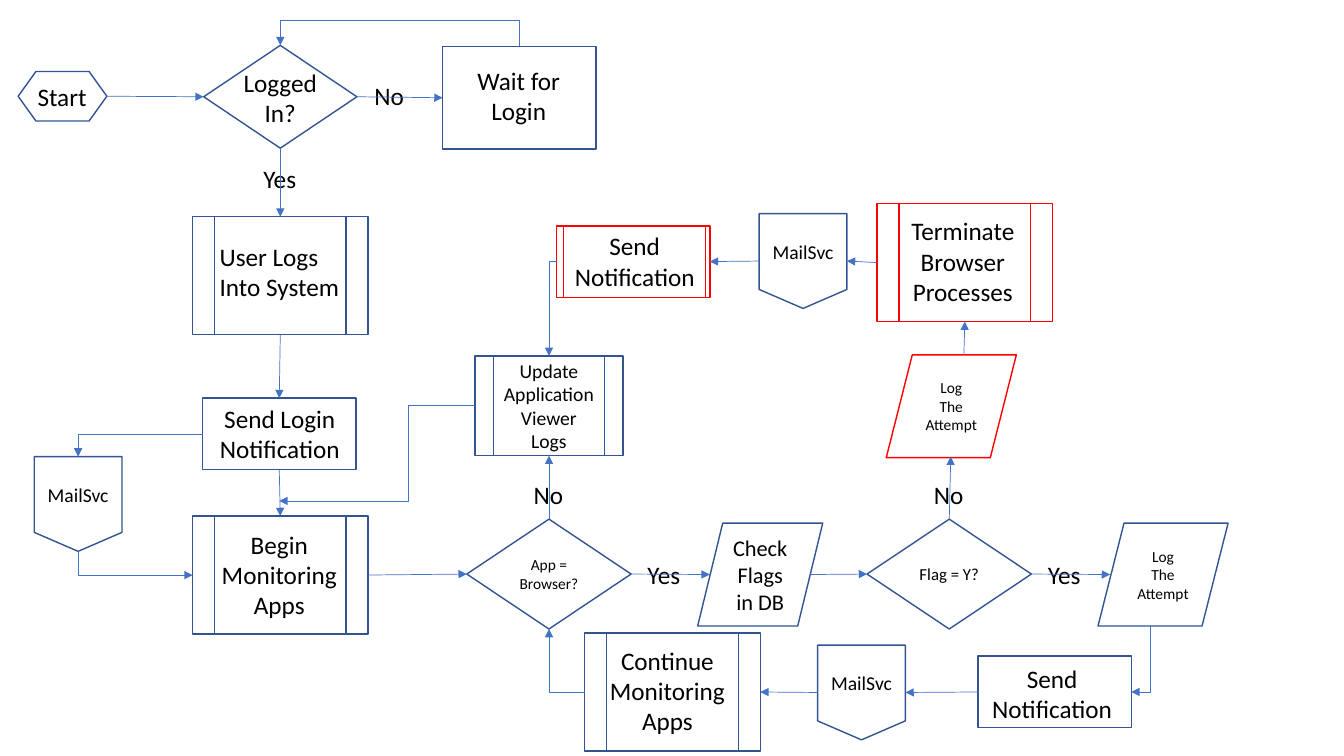
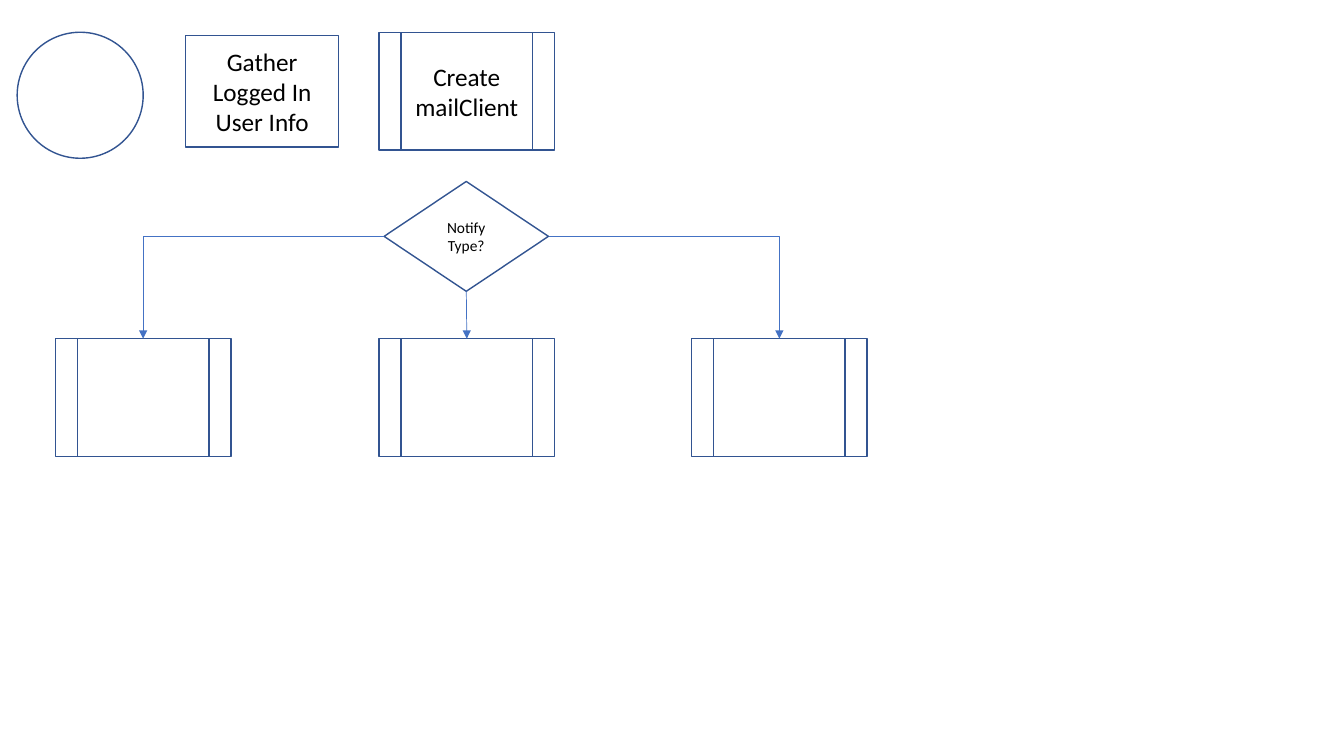
from dataclasses import dataclass
from typing import Any

from pptx import Presentation
from pptx.dml.color import RGBColor
from pptx.enum.shapes import MSO_CONNECTOR, MSO_SHAPE
from pptx.enum.text import MSO_ANCHOR, PP_ALIGN
from pptx.oxml.ns import qn
from pptx.oxml.xmlchemy import OxmlElement
from pptx.util import Inches, Pt

TOP, LEFT, BOTTOM, RIGHT = range(4)
GOING_RIGHT, GOING_DOWN, GOING_LEFT, GOING_UP = 0, 90, 180, 270


@dataclass(frozen=True)
class Theme:
    font: str = "Calibri"
    ink: str = "000000"
    outline: str = "325491"
    alert: str = "FF0000"
    arrow: str = "4472C4"
    outline_width: float = 1
    caption_outline_width: float = 0.75
    arrow_width: float = 0.5
    caption: int = 18
    data: int = 16
    body: int = 14
    flag: int = 12
    small: int = 11


THEME = Theme()
KINDS = {
    "start": (MSO_SHAPE.FLOWCHART_PREPARATION, 0.88, 0.49),
    "question": (MSO_SHAPE.FLOWCHART_DECISION, 1.52, 1.02),
    "decision": (MSO_SHAPE.FLOWCHART_DECISION, 1.63, 1.09),
    "wait": (MSO_SHAPE.FLOWCHART_PROCESS, 1.52, 1.02),
    "step": (MSO_SHAPE.FLOWCHART_PROCESS, 1.52, 0.71),
    "gather": (MSO_SHAPE.FLOWCHART_PROCESS, 1.52, 1.11),
    "process": (MSO_SHAPE.FLOWCHART_PREDEFINED_PROCESS, 1.74, 1.17),
    "update": (MSO_SHAPE.FLOWCHART_PREDEFINED_PROCESS, 1.47, 0.99),
    "check": (MSO_SHAPE.FLOWCHART_DATA, 1.24, 1.02),
    "log": (MSO_SHAPE.FLOWCHART_DATA, 1.29, 1.02),
    "mail": (MSO_SHAPE.FLOWCHART_OFFPAGE_CONNECTOR, 0.87, 0.94),
    "circle": (MSO_SHAPE.FLOWCHART_CONNECTOR, 1.25, 1.25),
}


def apply(target, formats):
    for name, value in formats.items():
        setattr(target, name, value)


def set_line(line, color, width):
    line.color.rgb = RGBColor.from_string(color)
    line.width = Pt(width)


def write(frame, text, size, align=PP_ALIGN.CENTER):
    for index, words in enumerate(text.split("\n")):
        para = frame.paragraphs[0] if index == 0 else frame.add_paragraph()
        para.alignment = align
        span = para.add_run()
        span.text = words
        apply(span.font, {"name": THEME.font, "size": Pt(size)})
        span.font.color.rgb = RGBColor.from_string(THEME.ink)


@dataclass
class Region:
    page: Any
    left: float
    top: float

    def place(self, x, y):
        return Inches(self.left + x), Inches(self.top + y)

    def node(self, kind, x, y, text="", size=THEME.caption, color=THEME.outline):
        preset, width, height = KINDS[kind]
        shape = self.page.shapes.add_shape(
            preset, *self.place(x, y), Inches(width), Inches(height))
        shape.shadow.inherit = False
        shape.fill.background()
        set_line(shape.line, color, THEME.outline_width)
        if text:
            apply(shape.text_frame, {"word_wrap": True, "vertical_anchor": MSO_ANCHOR.MIDDLE})
            write(shape.text_frame, text, size)
        return shape

    def caption(self, text, x, y, width, height=0.71, align=PP_ALIGN.CENTER, outline=None):
        box = self.page.shapes.add_textbox(*self.place(x, y), Inches(width), Inches(height))
        box.text_frame.word_wrap = " " in text and "\n" not in text
        write(box.text_frame, text, THEME.caption, align)
        if outline:
            set_line(box.line, outline, THEME.caption_outline_width)

    def answer(self, text, x, y):
        self.caption(text, x, y, 0.53 if text == "Yes" else 0.5, 0.4)

    def locate(self, end):
        first, second = end
        if isinstance(first, (int, float)):
            return self.place(first, second)
        across, down = ((0.5, 0), (0, 0.5), (0.5, 1), (1, 0.5))[second]
        return (int(first.left + first.width * across),
                int(first.top + first.height * down))

    def arrow(self, start, finish, kind=MSO_CONNECTOR.STRAIGHT):
        link = self.page.shapes.add_connector(kind, *self.locate(start), *self.locate(finish))
        for join, end in ((link.begin_connect, start), (link.end_connect, finish)):
            if not isinstance(end[0], (int, float)):
                join(*end)
        set_line(link.line, THEME.arrow, THEME.arrow_width)
        head = OxmlElement("a:tailEnd")
        head.set("type", "triangle")
        link.line._get_or_add_ln().append(head)
        link._element.spPr.append(OxmlElement("a:effectLst"))
        return link

    def elbow(self, start, finish, heading, bend=None):
        link = self.arrow(start, finish, MSO_CONNECTOR.ELBOW)
        (x1, y1), (x2, y2) = self.locate(start), self.locate(finish)
        dx, dy = x2 - x1, y2 - y1
        sideways = {GOING_RIGHT: dy, GOING_DOWN: -dx, GOING_LEFT: -dy, GOING_UP: dx}[heading]
        width, height = abs(dx), abs(dy)
        if heading in (GOING_DOWN, GOING_UP):
            width, height = height, width
        apply(link, {"left": (x1 + x2 - width) // 2, "top": (y1 + y2 - height) // 2,
                     "width": width, "height": height})
        apply(link._element.spPr.find(qn("a:xfrm")),
              {"rot": heading, "flipH": False, "flipV": sideways < 0})
        geometry = link._element.spPr.find(qn("a:prstGeom"))
        geometry.set("prst", "bentConnector2" if bend is None else "bentConnector3")
        if bend is not None:
            guide = OxmlElement("a:gd")
            guide.set("name", "adj1")
            guide.set("fmla", f"val {round(bend * 100000)}")
            geometry.get_or_add_avLst().append(guide)


def login_region(region):
    start = region.node("start", 0.18, 0.71)
    logged = region.node("question", 2.02, 0.45)
    wait = region.node("wait", 4.39, 0.46)
    user = region.node("process", 1.91, 2.15)
    notify = region.node("step", 2.01, 3.95)
    begin = region.node("process", 1.91, 5.12)
    mail = region.node("mail", 0.34, 4.53, "MailSvc", THEME.body)
    region.caption("Start", 0.27, 0.76, 0.69, 0.4)
    region.caption("Logged\nIn?", 2.31, 0.62, 0.94)
    region.caption("Wait for\nLogin", 4.63, 0.6, 1.03)
    region.caption("User Logs\nInto System", 2.08, 2.34, 1.4, align=PP_ALIGN.LEFT)
    region.caption("Send Login\nNotification", 2.07, 3.95, 1.41)
    region.caption("Begin Monitoring Apps", 2.07, 5.2, 1.4, 1.01)
    region.answer("No", 3.61, 0.75)
    region.answer("Yes", 2.51, 1.57)
    region.arrow((start, RIGHT), (logged, LEFT))
    region.arrow((logged, RIGHT), (wait, LEFT))
    for upper, lower in ((logged, user), (user, notify), (notify, begin)):
        region.arrow((upper, BOTTOM), (lower, TOP))
    region.elbow((wait, TOP), (logged, TOP), GOING_UP, 26)
    region.elbow((notify, LEFT), (mail, TOP), GOING_LEFT)
    region.elbow((mail, BOTTOM), (begin, LEFT), GOING_DOWN)
    return begin


def monitoring_region(region, begin):
    browser = region.node("decision", 0, 1.62, "App = Browser?", THEME.small)
    update = region.node("update", 0.08, 0, "Update Application Viewer Logs", THEME.body)
    region.node("check", 2.29, 1.66, "Check Flags in DB", THEME.data)
    flag = region.node("decision", 3.97, 1.62, "Flag = Y?", THEME.flag)
    region.node("log", 6.26, 1.66, "Log\nThe Attempt", THEME.small)
    for question_left in (0, 3.97):
        region.answer("No", question_left + 0.56, 1.18)
        region.answer("Yes", question_left + 1.69, 1.97)
    region.arrow((begin, RIGHT), (browser, LEFT))
    region.arrow((browser, TOP), (update, BOTTOM))
    region.arrow((browser, RIGHT), (2.41, 2.17))
    region.arrow((3.4, 2.17), (flag, LEFT))
    region.arrow((flag, RIGHT), (6.38, 2.17))
    region.elbow((update, LEFT), (-1.86, 1.44), GOING_LEFT, 0.34)
    return browser, update, flag


def blocking_region(region, flag, update):
    region.node("log", 3.27, 1.5, "Log\nThe Attempt", THEME.small, THEME.alert)
    terminate = region.node("process", 3.18, 0, color=THEME.alert)
    mail = region.node("mail", 2.01, 0.1, "MailSvc", THEME.body)
    notify = region.node("step", 0, 0.22, color=THEME.alert)
    region.caption("Send\nNotification", 0.07, 0.22, 1.41, outline=THEME.alert)
    region.caption("Terminate Browser Processes", 3.33, 0.07, 1.4, 1.01)
    region.arrow((flag, TOP), (3.91, 2.51))
    region.arrow((4.04, 1.5), (terminate, BOTTOM))
    region.arrow((terminate, LEFT), (mail, RIGHT))
    region.arrow((mail, LEFT), (notify, RIGHT))
    region.elbow((notify, LEFT), (update, TOP), GOING_LEFT)


def notice_region(region, browser):
    proceed = region.node("process", 0, 0)
    mail = region.node("mail", 2.31, 0.12, "MailSvc", THEME.body)
    notify = region.node("step", 3.9, 0.23)
    region.caption("Continue Monitoring Apps", 0.12, 0.07, 1.4, 1.01)
    region.caption("Send\nNotification", 3.93, 0.25, 1.41)
    region.elbow((5.61, -0.07), (notify, RIGHT), GOING_DOWN)
    region.arrow((notify, LEFT), (mail, RIGHT))
    region.arrow((mail, LEFT), (proceed, RIGHT))
    region.elbow((proceed, LEFT), (browser, BOTTOM), GOING_LEFT)


def monitoring_page(page):
    begin = login_region(Region(page, 0, 0))
    browser, update, flag = monitoring_region(Region(page, 4.63, 3.53), begin)
    blocking_region(Region(page, 5.52, 2.02), flag, update)
    notice_region(Region(page, 5.8, 6.28), browser)


def mail_region(region):
    region.node("circle", 0, 0)
    region.node("gather", 1.67, 0.03, "Gather Logged In User Info")
    region.node("process", 3.59, 0, "Create mailClient")


def notify_region(region):
    choice = region.node("decision", 3.26, 0, "Notify Type?", THEME.small)
    _, middle, right = [region.node("process", x, 1.56) for x in (0, 3.21, 6.31)]
    region.elbow((choice, LEFT), (0.87, 1.56), GOING_LEFT)
    region.elbow((choice, RIGHT), (right, TOP), GOING_RIGHT)
    region.arrow((choice, BOTTOM), (middle, TOP))


def mail_page(page):
    mail_region(Region(page, 0.17, 0.32))
    notify_region(Region(page, 0.55, 1.8))


def main():
    deck = Presentation()
    apply(deck, {"slide_width": Inches(13.33), "slide_height": Inches(7.5)})
    for build in (monitoring_page, mail_page):
        build(deck.slides.add_slide(deck.slide_layouts[6]))
    deck.save("out.pptx")


if __name__ == "__main__":
    main()
